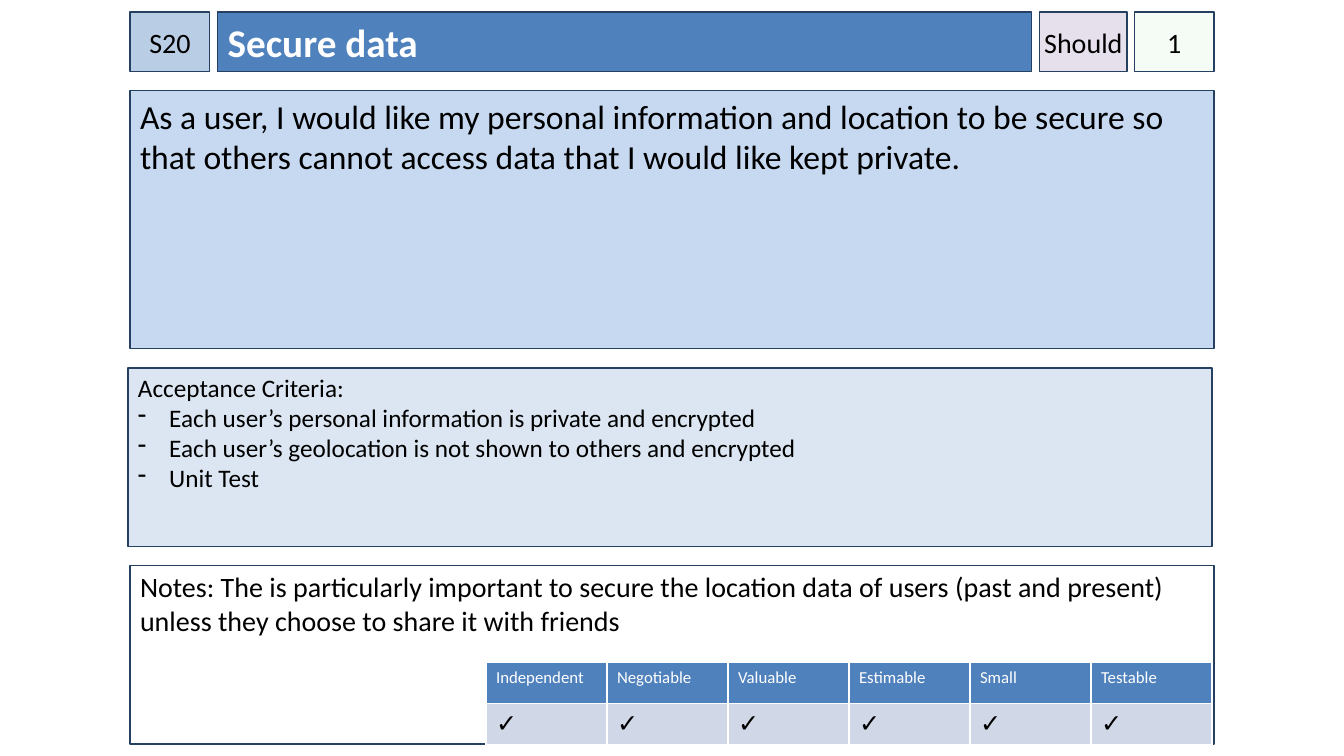
from pptx import Presentation
from pptx.dml.color import RGBColor as Rgb
from pptx.enum.shapes import MSO_SHAPE as Shape
from pptx.enum.text import MSO_ANCHOR as Anchor, PP_ALIGN as Align
from pptx.oxml.ns import qn
from pptx.util import Pt
from lxml.etree import SubElement as Sub

PX = 9144
FONT = "Calibri"
HEX = {
    "black": "000000", "white": "FFFFFF", "edge": "254061",
    "code": "B9CDE5", "title": "4F81BD", "story": "C6D9F1",
    "tests": "DCE6F2", "rank": "E6E0EC", "points": "CCF0CD",
    "mark": "D0D8E8",
}
TESTS = [
    "Each user’s personal information is private and encrypted",
    "Each user’s geolocation is not shown to others and encrypted",
    "Unit Test",
]
TRAITS = ["Independent", "Negotiable", "Valuable", "Estimable", "Small", "Testable"]


def color(name):
    return Rgb.from_string(HEX[name])


def style(para, size, ink="black", bold=False):
    font = para.font
    font.name, font.size, font.bold = FONT, Pt(size), bold
    font.color.rgb = color(ink)


def add_box(slide, area, fill, lines, size, ink="black", bold=False,
            align=Align.LEFT, anchor=Anchor.TOP, side=10, top=5, wrap=True):
    box = slide.shapes.add_shape(Shape.RECTANGLE, *(n * PX for n in area))
    box.shadow.inherit = False
    box.fill.solid()
    box.fill.fore_color.rgb = color(fill)
    box.line.color.rgb = color("edge")
    box.line.width = Pt(1)
    frame = box.text_frame
    frame.word_wrap = wrap
    frame.vertical_anchor = anchor
    frame.margin_left = frame.margin_right = side * PX
    frame.margin_top, frame.margin_bottom = top * PX, 5 * PX
    for i, line in enumerate(lines):
        para = frame.paragraphs[0] if i == 0 else frame.add_paragraph()
        para.text = line
        para.alignment = align
        if i:
            add_dash(para)
        style(para, size, ink, bold)
    return box


def add_badge(slide, left, width, fill, text, wrap=True):
    return add_box(slide, (left, 12, width, 59), fill, [text], 20,
                   align=Align.CENTER, anchor=Anchor.MIDDLE, side=0, wrap=wrap)


def add_dash(para):
    props = para._p.get_or_add_pPr()
    props.set("marL", str(31 * PX))
    props.set("indent", str(-31 * PX))
    Sub(props, qn("a:buFontTx"))
    Sub(props, qn("a:buChar"), char="-")


def fade(box, share):
    tint = box.fill._xPr.find(qn("a:solidFill"))[0]
    Sub(tint, qn("a:alpha"), val=str(share * 1000))


def add_edges(cell, base):
    props = cell._tc.get_or_add_tcPr()
    for side in "LRTB":
        width = base if side == "B" else 1
        line = Sub(props, qn("a:ln" + side), w=str(Pt(width)))
        Sub(Sub(line, qn("a:solidFill")), qn("a:srgbClr"), val=HEX["white"])


def add_grid(slide):
    area = (482, 657, 720, 82)
    grid = slide.shapes.add_table(2, len(TRAITS), *(n * PX for n in area)).table
    rows = [(TRAITS, 12, "white", "title", 1),
            (["✓"] * len(TRAITS), 18, "black", "mark", 1)]
    for r, (words, size, ink, fill, base) in enumerate(rows):
        for c, word in enumerate(words):
            cell = grid.cell(r, c)
            cell.text = word
            style(cell.text_frame.paragraphs[0], size, ink)
            add_edges(cell, base)
            cell.fill.solid()
            cell.fill.fore_color.rgb = color(fill)


def main():
    deck = Presentation()
    deck.slide_width, deck.slide_height = 1333 * PX, 750 * PX
    slide = deck.slides.add_slide(deck.slide_layouts[6])
    add_badge(slide, 129, 79, "code", "S20")
    add_box(slide, (216, 12, 807, 59), "title", ["Secure data"], 28,
            "white", True, anchor=Anchor.MIDDLE)
    add_box(slide, (129, 90, 1075, 256), "story", [
        "As a user, I would like my personal information and location to be "
        "secure so that others cannot access data that I would like kept private."], 24)
    add_box(slide, (127, 365, 1075, 177), "tests",
            ["Acceptance Criteria:", *TESTS], 18, top=4)
    fade(add_badge(slide, 1125, 79, "points", "1"), 20)
    add_badge(slide, 1031, 87, "rank", "Should", wrap=False)
    add_box(slide, (129, 561, 1075, 177), "white", [
        "Notes: The is particularly important to secure the location data of users "
        "(past and present) unless they choose to share it with friends"], 20, top=4)
    add_grid(slide)
    deck.save("out.pptx")


if __name__ == "__main__":
    main()
